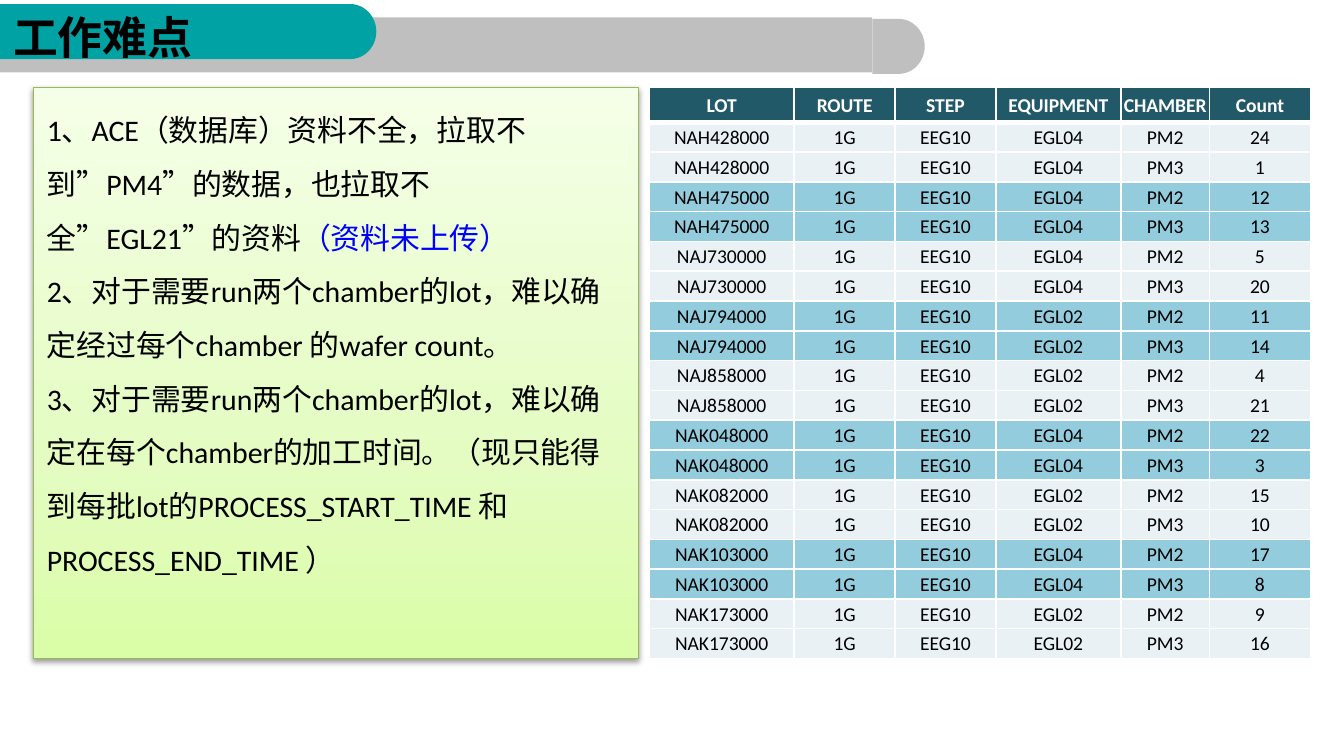
from copy import deepcopy

from lxml import etree
from pptx import Presentation
from pptx.dml.color import RGBColor
from pptx.enum.shapes import MSO_SHAPE
from pptx.enum.text import MSO_ANCHOR, PP_ALIGN
from pptx.oxml.ns import qn
from pptx.util import Inches, Pt

RECTANGLE = MSO_SHAPE.RECTANGLE
DELAY = MSO_SHAPE.FLOWCHART_DELAY
LEFT, CENTER = PP_ALIGN.LEFT, PP_ALIGN.CENTER
TOP, MIDDLE = MSO_ANCHOR.TOP, MSO_ANCHOR.MIDDLE

FONT = "Calibri"
BLACK, WHITE, BLUE = "000000", "FFFFFF", "0000FF"
GREY, TEAL = "BFBFBF", "00A2A3"
HEADER_FILL, LIGHT_ROW, BLUE_ROW = "215968", "E9F1F5", "93CDDD"
GRADIENT = [(0, "DAFDA7"), (0.35, "E4FCC2"), (1, "F5FFE7")]

# Each paragraph is a list of (text, colour) runs
DIFFICULTIES = [
    [("1、ACE（数据库）资料不全，拉取不到”PM4”的数据，也拉取不全”EGL21”的资料", BLACK),
     ("（资料未上传）", BLUE)],
    [("2、对于需要run两个chamber的lot，难以确定经过每个chamber 的wafer count。", BLACK)],
    [("3、对于需要run两个chamber的lot，难以确定在每个chamber的加工时间。"
      "（现只能得到每批lot的PROCESS_START_TIME 和PROCESS_END_TIME ）", BLACK)],
]

HEADERS = ["LOT", "ROUTE", "STEP", "EQUIPMENT", "CHAMBER", "Count"]
COLUMN_WIDTHS = [1.08, 0.75, 0.75, 0.93, 0.66, 0.75]
TABLE_HEIGHT, HEADER_HEIGHT = 4.25, 0.26
# Lot, equipment, count in PM2, count in PM3
LOTS = [
    ("NAH428000", "EGL04", 24, 1),
    ("NAH475000", "EGL04", 12, 13),
    ("NAJ730000", "EGL04", 5, 20),
    ("NAJ794000", "EGL02", 11, 14),
    ("NAJ858000", "EGL02", 4, 21),
    ("NAK048000", "EGL04", 22, 3),
    ("NAK082000", "EGL02", 15, 10),
    ("NAK103000", "EGL04", 17, 8),
    ("NAK173000", "EGL02", 9, 16),
]


def rgb(colour):
    return RGBColor.from_string(colour)


def format_run(run, size, colour, bold=False):
    run.font.name = FONT
    run.font.size = Pt(size)
    run.font.bold = bold
    run.font.color.rgb = rgb(colour)


def add_block(slide, preset, left, top, width, height, colour):
    shape = slide.shapes.add_shape(
        preset, Inches(left), Inches(top), Inches(width), Inches(height))
    shape.shadow.inherit = False
    shape.fill.solid()
    shape.fill.fore_color.rgb = rgb(colour)
    shape.line.fill.background()
    return shape


def add_banner(slide, top, width, colour, cap_top):
    """A bar from the left edge of the slide with a rounded right end."""
    add_block(slide, DELAY, width, cap_top, 0.39, 0.41, colour)
    add_block(slide, RECTANGLE, 0, top, width, 0.41, colour)


def add_title(slide, text):
    box = slide.shapes.add_textbox(0, 0, Inches(9), Inches(0.54))
    text_frame = box.text_frame
    text_frame.word_wrap = True
    text_frame.vertical_anchor = MIDDLE
    text_frame.text = text
    format_run(text_frame.paragraphs[0].runs[0], 24, BLACK, bold=True)


def set_gradient(fill, stops):
    fill.gradient()
    fill.gradient_angle = 90
    first = fill.gradient_stops[0]._gs
    first.addnext(deepcopy(first))
    for stop, (position, colour) in zip(fill.gradient_stops, stops):
        stop.position = position
        stop.color.rgb = rgb(colour)


def add_soft_shadow(shape):
    effects = shape._element.spPr.find(qn("a:effectLst"))
    shadow = etree.SubElement(effects, qn("a:outerShdw"), blurRad="40000",
                              dist="20000", dir="5400000", rotWithShape="0")
    colour = etree.SubElement(shadow, qn("a:srgbClr"), val=BLACK)
    etree.SubElement(colour, qn("a:alpha"), val="38000")


def add_text_panel(slide, paragraphs):
    panel = add_block(slide, RECTANGLE, 0.25, 0.65, 4.5, 4.25, WHITE)
    set_gradient(panel.fill, GRADIENT)
    panel.line.color.rgb = rgb("98B955")
    panel.line.width = Pt(0.75)
    add_soft_shadow(panel)
    text_frame = panel.text_frame
    text_frame.word_wrap = True
    text_frame.vertical_anchor = TOP
    for index, runs in enumerate(paragraphs):
        paragraph = text_frame.add_paragraph() if index else text_frame.paragraphs[0]
        paragraph.alignment = LEFT
        paragraph.line_spacing = 1.5
        for text, colour in runs:
            run = paragraph.add_run()
            run.text = text
            format_run(run, 16, colour)


def set_borders(cell, top, bottom):
    properties = cell._tc.get_or_add_tcPr()
    for side, width in (("L", 1), ("R", 1), ("T", top), ("B", bottom)):
        line = etree.SubElement(properties, qn("a:ln" + side), w=str(Pt(width)))
        fill = etree.SubElement(line, qn("a:solidFill"))
        etree.SubElement(fill, qn("a:srgbClr"), val=WHITE)


def fill_cell(cell, text, colour, fill, bold, top, bottom):
    set_borders(cell, top, bottom)
    cell.fill.solid()
    cell.fill.fore_color.rgb = rgb(fill)
    cell.vertical_anchor = MIDDLE
    cell.margin_left = cell.margin_right = cell.margin_top = Inches(0.01)
    cell.margin_bottom = 0
    cell.text_frame.text = text
    paragraph = cell.text_frame.paragraphs[0]
    paragraph.alignment = CENTER
    format_run(paragraph.runs[0], 10.5, colour, bold)


def add_lot_table(slide):
    rows = [HEADERS]
    for lot, equipment, *counts in LOTS:
        for chamber, count in zip(("PM2", "PM3"), counts):
            rows.append([lot, "1G", "EEG10", equipment, chamber, str(count)])
    table = slide.shapes.add_table(
        len(rows), len(HEADERS), Inches(4.83), Inches(0.65),
        Inches(sum(COLUMN_WIDTHS)), Inches(TABLE_HEIGHT)).table
    for column, width in zip(table.columns, COLUMN_WIDTHS):
        column.width = Inches(width)
    row_height = (TABLE_HEIGHT - HEADER_HEIGHT) / (len(rows) - 1)

    for index, values in enumerate(rows):
        is_header = index == 0
        table.rows[index].height = Inches(HEADER_HEIGHT if is_header else row_height)
        # The two rows of a lot share one colour
        body_fill = BLUE_ROW if (index - 1) // 2 % 2 else LIGHT_ROW
        for column, value in enumerate(values):
            fill_cell(table.cell(index, column), value,
                      colour=WHITE if is_header else BLACK,
                      fill=HEADER_FILL if is_header else body_fill,
                      bold=is_header,
                      top=3 if index == 1 else 1,
                      bottom=3 if is_header else 1)


def main():
    presentation = Presentation()
    # Widescreen, 16 to 9
    presentation.slide_width = Inches(10)
    presentation.slide_height = Inches(10) * 9 // 16
    slide = presentation.slides.add_slide(presentation.slide_layouts[6])

    # Title banners
    add_banner(slide, 0.13, 6.49, GREY, cap_top=0.14)
    add_banner(slide, 0.03, 2.41, TEAL, cap_top=0.03)
    add_title(slide, "工作难点")

    # Difficulties on the left, lot data on the right
    add_text_panel(slide, DIFFICULTIES)
    add_lot_table(slide)

    presentation.save("out.pptx")


if __name__ == "__main__":
    main()
